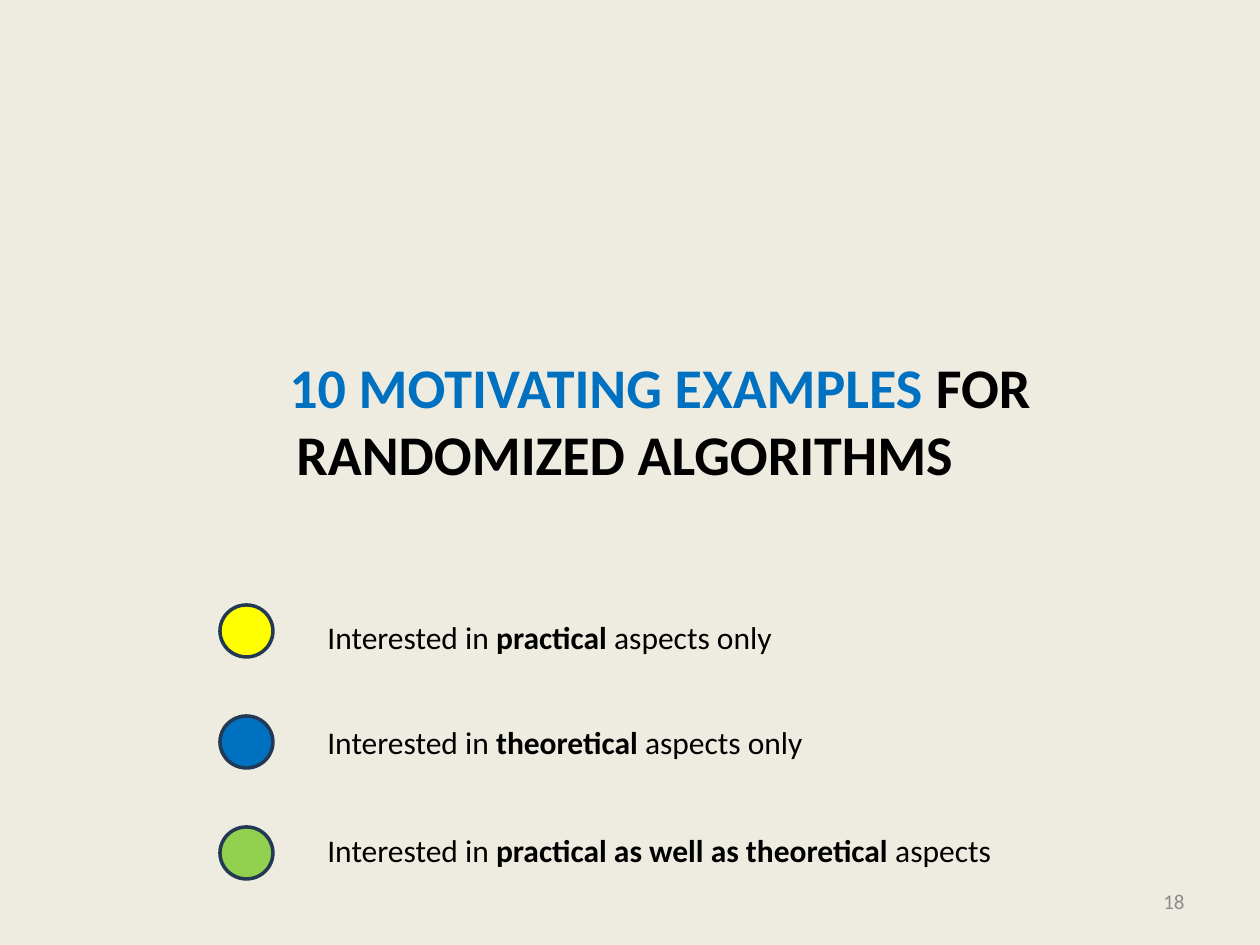
from typing import NamedTuple

from pptx import Presentation
from pptx.dml.color import RGBColor
from pptx.enum.shapes import MSO_SHAPE as Shape
from pptx.enum.text import MSO_ANCHOR as Anchor, MSO_AUTO_SIZE as AutoSize, PP_ALIGN as Align
from pptx.util import Emu, Pt

PX_PER_INCH = 126
FONT = "Calibri"
CREAM = RGBColor(0xEE, 0xEC, 0xE1)
BLACK = RGBColor(0x00, 0x00, 0x00)
GRAY = RGBColor(0x8C, 0x8C, 0x8C)
NAVY = RGBColor(0x23, 0x39, 0x53)
YELLOW = RGBColor(0xFF, 0xFF, 0x00)
BLUE = RGBColor(0x00, 0x70, 0xC0)
GREEN = RGBColor(0x92, 0xD0, 0x50)


class Run(NamedTuple):
    text: str
    bold: bool = False
    color: RGBColor = BLACK


class Interest(NamedTuple):
    color: RGBColor
    text_top: int
    text_width: int
    runs: list[Run]


INTERESTS = [
    Interest(YELLOW, 612, 473,
             [Run("Interested in "), Run("practical ", True), Run("aspects only")]),
    Interest(BLUE, 717, 503,
             [Run("Interested in "), Run("theoretical", True), Run(" aspects only")]),
    Interest(GREEN, 825, 696,
             [Run("Interested in "), Run("practical as well as theoretical ", True),
              Run("aspects")]),
]
DOT_LEFT, DOT_TOP, DOT_WIDTH, DOT_HEIGHT, DOT_PITCH = 220, 605, 53, 52, 111
LABEL_LEFT, LABEL_HEIGHT = 315, 50


def px(n: int) -> Emu:
    return Emu(round(n * 914400 / PX_PER_INCH))


def add_text(slide, runs: list[Run], left: int, top: int, width: int, height: int, *,
             size: int, align=Align.LEFT, anchor=Anchor.TOP, wrap: bool = True,
             margin: int = 0, indent: int = 0) -> None:
    """Add one paragraph; a vertical tab in a run breaks the line."""
    sp = slide.shapes.add_textbox(px(left), px(top), px(width), px(height))
    tf = sp.text_frame
    tf.word_wrap = wrap
    tf.auto_size = AutoSize.NONE if wrap else AutoSize.SHAPE_TO_FIT_TEXT
    tf.vertical_anchor = anchor
    p = tf.paragraphs[0]
    p.alignment = align
    if margin:
        pPr = p._p.get_or_add_pPr()
        pPr.set("marL", str(px(margin)))
        pPr.set("indent", str(px(indent)))
    for run in runs:
        for i, line in enumerate(run.text.split("\v")):
            if i:
                p.add_line_break()
            r = p.add_run()
            r.text = line
            r.font.name = FONT
            r.font.size = Pt(size)
            r.font.bold = run.bold
            r.font.color.rgb = run.color


def add_dot(slide, top: int, color: RGBColor) -> None:
    sp = slide.shapes.add_shape(Shape.OVAL, px(DOT_LEFT), px(top),
                                px(DOT_WIDTH), px(DOT_HEIGHT))
    sp.shadow.inherit = False
    sp.fill.solid()
    sp.fill.fore_color.rgb = color
    sp.line.color.rgb = NAVY
    sp.line.width = Pt(2)


def main() -> None:
    prs = Presentation()
    prs.slide_width, prs.slide_height = px(1260), px(945)
    s = prs.slides.add_slide(prs.slide_layouts[6])
    s.background.fill.solid()
    s.background.fill.fore_color.rgb = CREAM

    # Title, its second line set in a little further
    add_text(s, [Run("10 MOTIVATING EXAMPLES ", True, BLUE),
                 Run("FOR\vRANDOMIZED ALGORITHMS", True)],
             100, 346, 1071, 188, size=32, margin=184, indent=-7)

    # Interest legend
    for i, item in enumerate(INTERESTS):
        add_dot(s, DOT_TOP + i * DOT_PITCH, item.color)
        add_text(s, item.runs, LABEL_LEFT, item.text_top, item.text_width,
                 LABEL_HEIGHT, size=18, wrap=False)

    # Slide number
    add_text(s, [Run("18", color=GRAY)], 903, 876, 294, 50, size=12,
             align=Align.RIGHT, anchor=Anchor.MIDDLE)

    prs.save("out.pptx")


if __name__ == "__main__":
    main()
